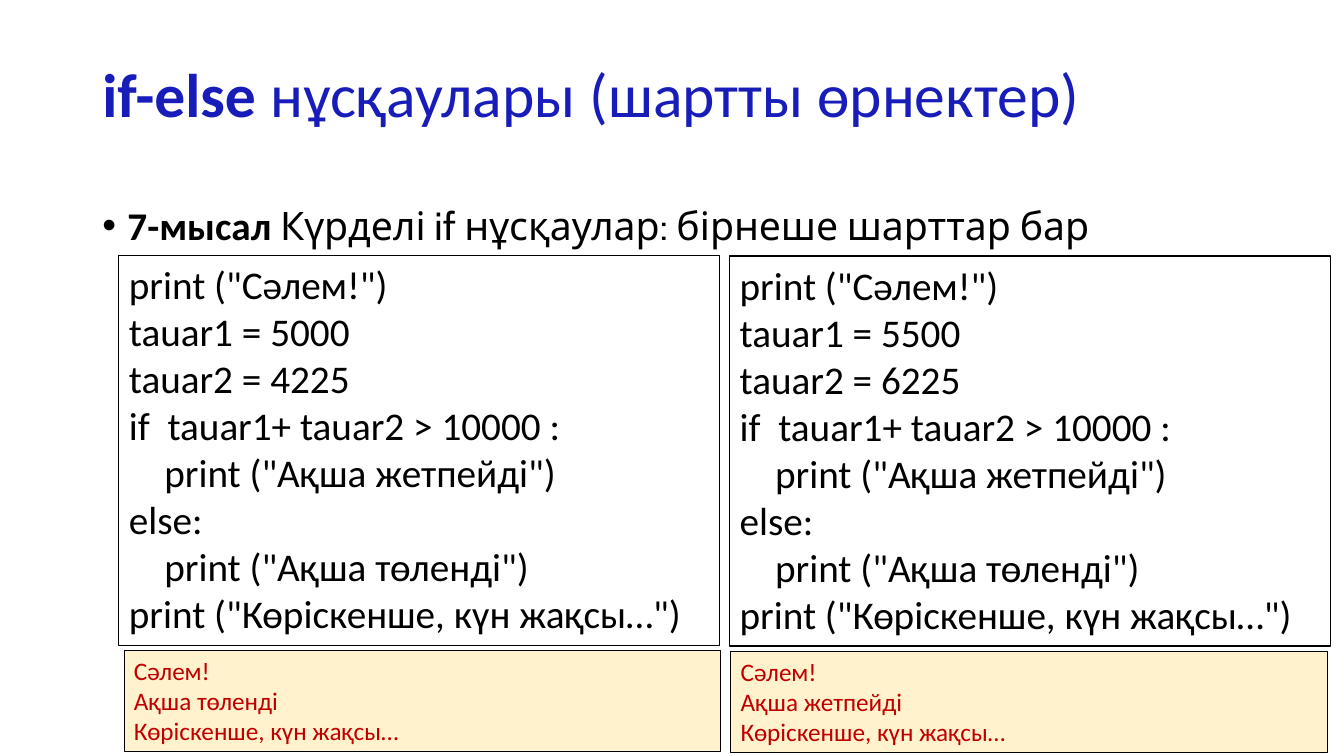
from dataclasses import dataclass

import pptx
import pptx.dml.color
import pptx.enum.shapes
import pptx.enum.text
import pptx.oxml
import pptx.oxml.ns
import pptx.util

Pt = pptx.util.Pt
COLOURS = {
    "title": "181CB8",
    "text": "000000",
    "border": "000000",
    "code_fill": "FFFFFF",
    "output_fill": "FFF2CC",
    "output_text": "C00000",
}
CODE_INDENT = 25.3


@dataclass
class Run:
    text: str
    bold: bool = False
    font: str = "Calibri"


@dataclass
class Line:
    runs: list[Run]
    indent: float = 0


@dataclass
class Box:
    left: float
    top: float
    width: float
    height: float


@dataclass
class Example:
    prices: tuple[int, int]
    result: str
    code_box: Box
    output_box: Box


def rgb(name: str) -> pptx.dml.color.RGBColor:
    return pptx.dml.color.RGBColor.from_string(COLOURS[name])


def write_text(shape, lines: list[Line], *, size: float, colour: str = "text",
               anchor: str = "TOP", grow: bool = False, spacing: float = 1.0,
               before: float = 0, bullet: bool = False) -> None:
    frame = shape.text_frame
    frame.word_wrap = True
    frame.vertical_anchor = pptx.enum.text.MSO_ANCHOR[anchor]
    if grow:
        frame.auto_size = pptx.enum.text.MSO_AUTO_SIZE.SHAPE_TO_FIT_TEXT
    for number, line in enumerate(lines):
        paragraph = frame.add_paragraph() if number else frame.paragraphs[0]
        paragraph.alignment = pptx.enum.text.PP_ALIGN.LEFT
        paragraph.line_spacing = spacing
        paragraph.space_before = Pt(before)
        properties = paragraph._p.get_or_add_pPr()
        properties.set("marL", str(Pt(line.indent)))
        if bullet:
            properties.set("indent", str(-Pt(line.indent)))
            properties.append(pptx.oxml.parse_xml(
                f'<a:buFont {pptx.oxml.ns.nsdecls("a")} typeface="Arial"/>'))
            properties.append(pptx.oxml.parse_xml(
                f'<a:buChar {pptx.oxml.ns.nsdecls("a")} char="•"/>'))
        for part in line.runs:
            run = paragraph.add_run()
            run.text = part.text
            run.font.name = part.font
            run.font.size = Pt(size)
            run.font.bold = part.bold
            run.font.color.rgb = rgb(colour)


def add_text_area(slide, box: Box):
    return slide.shapes.add_textbox(
        Pt(box.left), Pt(box.top), Pt(box.width), Pt(box.height))


def add_panel(slide, box: Box, fill: str):
    panel = slide.shapes.add_shape(
        pptx.enum.shapes.MSO_SHAPE.RECTANGLE,
        Pt(box.left), Pt(box.top), Pt(box.width), Pt(box.height))
    panel.shadow.inherit = False
    panel.fill.solid()
    panel.fill.fore_color.rgb = rgb(fill)
    panel.line.color.rgb = rgb("border")
    panel.line.width = Pt(0.75)
    return panel


def program_lines(prices: tuple[int, int]) -> list[Line]:
    code = [
        ('print ("Сәлем!")', 0),
        (f"tauar1 = {prices[0]}", 0),
        (f"tauar2 = {prices[1]}", 0),
        ("if  tauar1+ tauar2 > 10000 :", 0),
        ('print ("Ақша жетпейді")', CODE_INDENT),
        ("else:", 0),
        ('print ("Ақша төленді")', CODE_INDENT),
        ('print ("Көріскенше, күн жақсы…")', 0),
    ]
    return [Line([Run(text)], indent) for text, indent in code]


def output_lines(result: str) -> list[Line]:
    return [Line([Run(text)]) for text in ("Сәлем!", result, "Көріскенше, күн жақсы…")]


EXAMPLES = [
    Example((5000, 4225), "Ақша төленді",
            Box(85, 182.2, 429.1, 278.6), Box(88.6, 464.4, 426.2, 72.7)),
    Example((5500, 6225), "Ақша жетпейді",
            Box(521.3, 182.9, 429.1, 278.6), Box(522, 465.1, 426.2, 72.7)),
]


def main() -> None:
    deck = pptx.Presentation()
    deck.slide_width, deck.slide_height = Pt(960), Pt(540)
    slide = deck.slides.add_slide(deck.slide_layouts[6])

    # Heading of the example
    task = add_text_area(slide, Box(66, 144, 828, 342.7))
    write_text(task, [Line([
        Run("7-мысал ", bold=True),
        Run("Күрделі if нұсқаулар: бірнеше шарттар бар", font="Cabin"),
    ], indent=18)], size=28, spacing=0.9, before=10, bullet=True)

    # Slide title
    title = add_text_area(slide, Box(66, 32.4, 764.6, 74.9))
    write_text(title, [Line([
        Run("if-else ", bold=True),
        Run("нұсқаулары (шартты өрнектер)"),
    ])], size=44, colour="title", anchor="MIDDLE", spacing=0.9)

    # Programs with their output
    for example in EXAMPLES:
        program = add_panel(slide, example.code_box, "code_fill")
        write_text(program, program_lines(example.prices), size=28, grow=True)
        output = add_panel(slide, example.output_box, "output_fill")
        write_text(output, output_lines(example.result), size=18,
                   colour="output_text", grow=True)

    deck.save("out.pptx")


if __name__ == "__main__":
    main()
